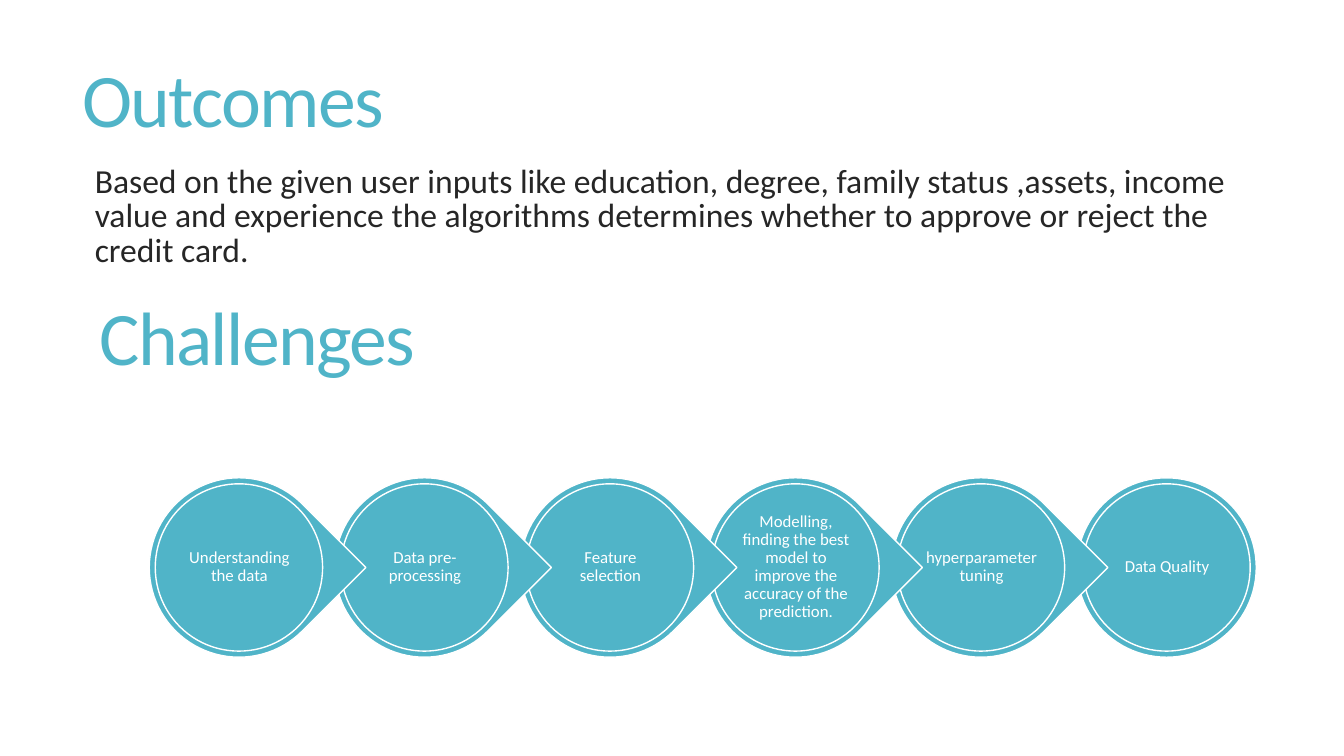
from pptx import Presentation
from pptx import util as u
from pptx.dml.color import RGBColor
from pptx.enum import shapes, text

PX = 9144  # EMU per px, 100 px to the inch
COLORS = {"teal": "50B4C8", "ink": "262626", "white": "FFFFFF"}


def add_text(parent, content, left, top, width, height, size, color,
             spacing=0.85, before=0, tracking=0, inset=(10, 5),
             align=text.PP_ALIGN.LEFT, anchor=text.MSO_ANCHOR.MIDDLE):
    box = parent.add_textbox(left * PX, top * PX, width * PX, height * PX)
    frame = box.text_frame
    frame.word_wrap = True
    frame.vertical_anchor = anchor
    frame.margin_left = frame.margin_right = inset[0] * PX
    frame.margin_top = frame.margin_bottom = inset[1] * PX
    para = frame.paragraphs[0]
    para.alignment = align
    para.line_spacing = spacing
    para.space_before = u.Pt(before)
    span = para.add_run()
    span.text = content
    span.font.name = "Calibri"
    span.font.size = u.Pt(size)
    span.font.color.rgb = RGBColor.from_string(COLORS[color])
    if tracking:
        span.font._element.set("spc", str(tracking))
    return box


def add_disc(parent, kind, left, top, size):
    disc = parent.add_shape(kind, left * PX, top * PX, size * PX, size * PX)
    disc.shadow.inherit = False
    disc.fill.solid()
    disc.fill.fore_color.rgb = RGBColor.from_string(COLORS["teal"])
    disc.line.color.rgb = RGBColor.from_string(COLORS["white"])
    disc.line.width = u.Pt(1)
    return disc


deck = Presentation()
deck.slide_width = 1333 * PX
deck.slide_height = 750 * PX
page = deck.slides.add_slide(deck.slide_layouts[6])

# Headings
for heading, left, top, height in [("Outcomes", 72, 55, 98),
                                   ("Challenges", 89, 283, 114)]:
    add_text(page.shapes, heading, left, top, 1178, height, 54, "teal", tracking=-120)

# Outcome statement
outcome = add_text(
    page.shapes,
    "Based on the given user inputs like education, degree, family status ,assets, "
    "income value and experience the algorithms determines whether to approve or "
    "reject the credit card.",
    74, 160, 1176, 123, 24, "ink", before=13, anchor=text.MSO_ANCHOR.TOP)
outcome.text_frame.margin_left = 20 * PX

# Chain of challenges, drawn from the last to the first so each tip overlaps the next
challenges = [
    "Understanding the data",
    "Data pre-processing",
    "Feature selection",
    "Modelling, finding the best model to improve the accuracy of the prediction.",
    "hyperparameter tuning",
    "Data Quality",
]
FIRST_LEFT, TOP, STEP = 148, 474, 184
last = len(challenges) - 1
chain = page.shapes.add_group_shape().shapes
for index in range(last, -1, -1):
    left = FIRST_LEFT + index * STEP
    if index == last:
        add_disc(chain, shapes.MSO_SHAPE.OVAL, left, TOP, 178)
    else:
        add_disc(chain, shapes.MSO_SHAPE.TEAR, left, TOP, 178).rotation = 45
    add_disc(chain, shapes.MSO_SHAPE.OVAL, left + 6, TOP + 6, 166)
    add_text(chain, challenges[index], left + 30, TOP + 29, 119, 119, 12, "white",
             spacing=0.9, inset=(2, 2), align=text.PP_ALIGN.CENTER)

deck.save("out.pptx")
